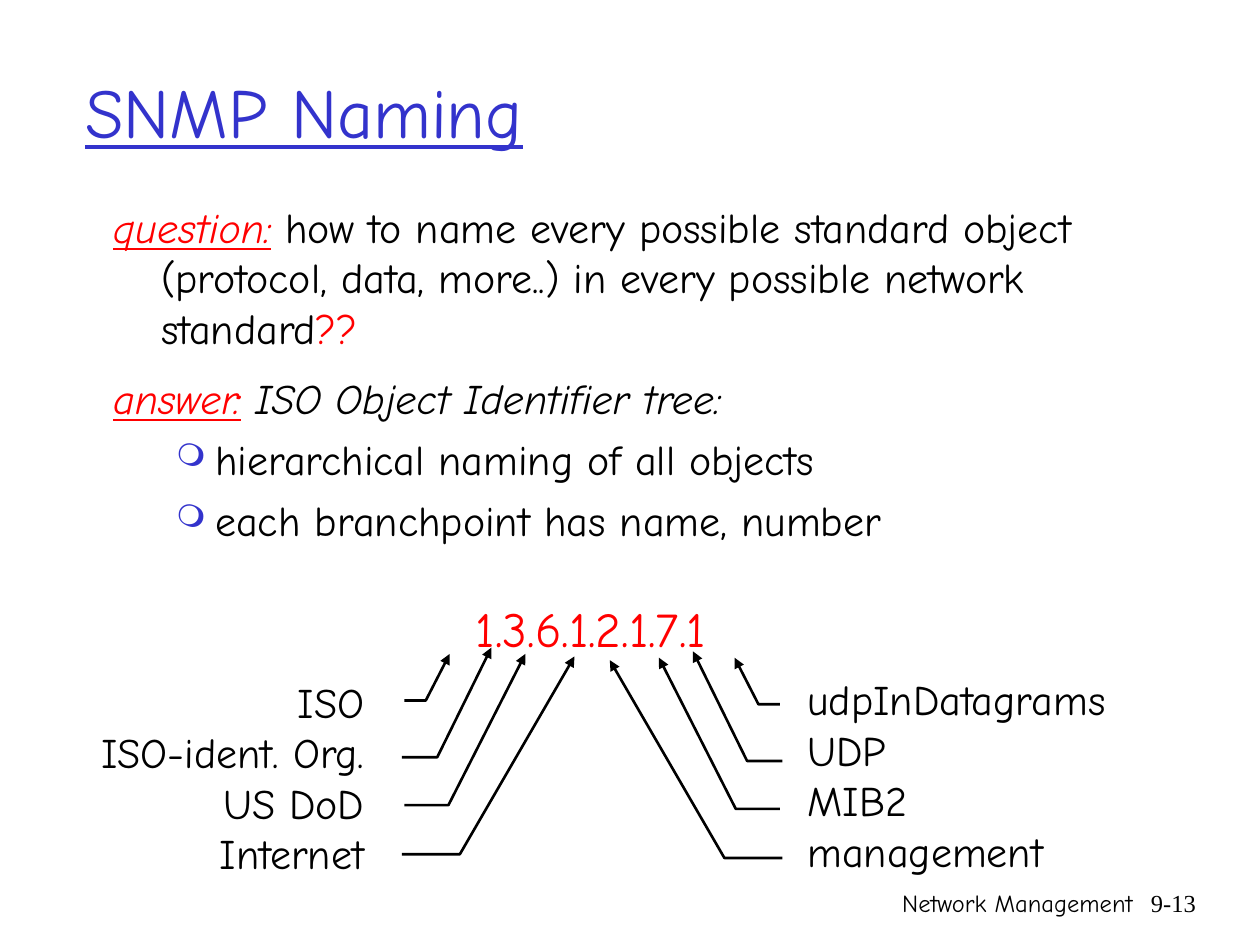
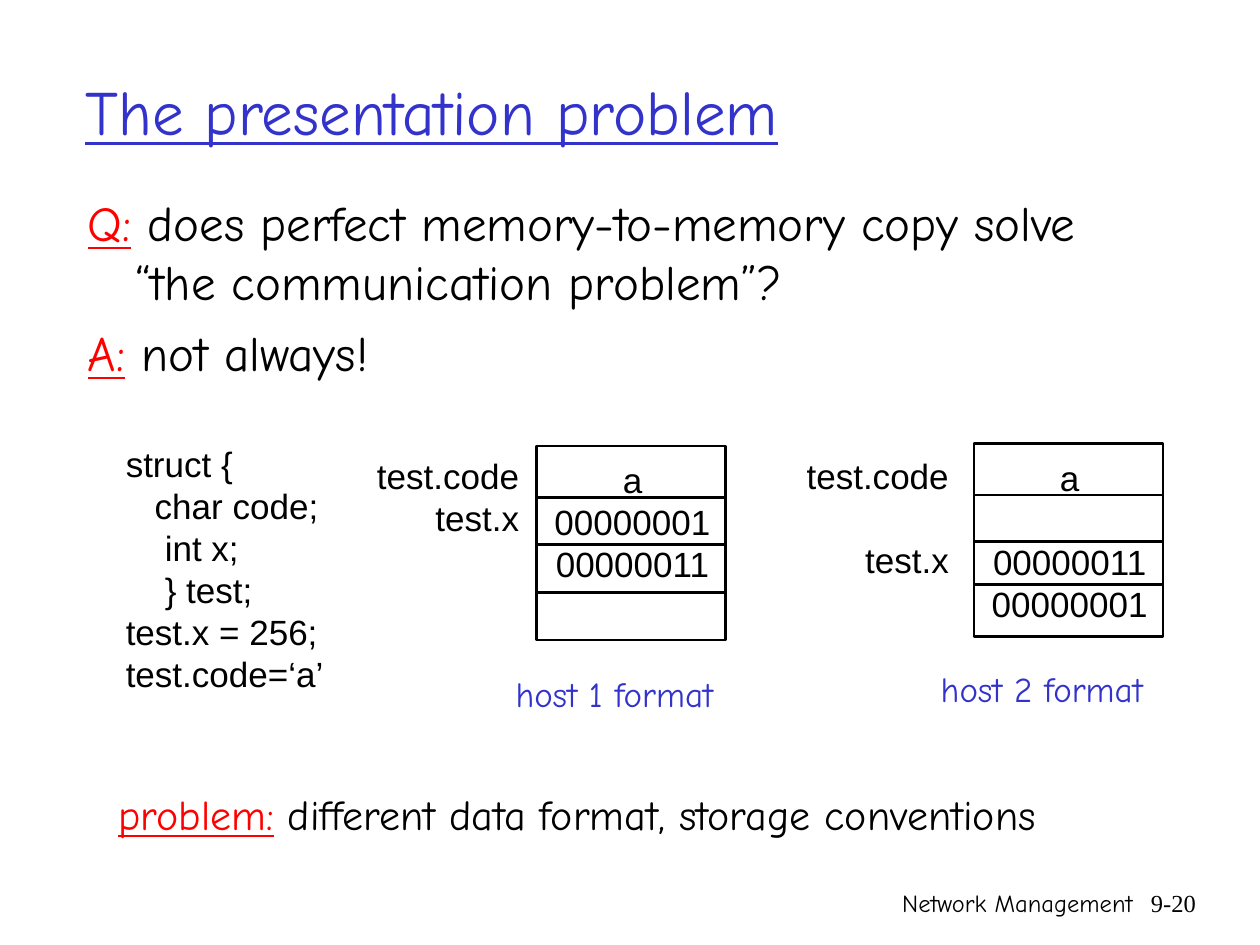
from dataclasses import dataclass

from lxml import etree
from pptx import Presentation
from pptx.dml.color import RGBColor
from pptx.enum import shapes, text
from pptx.oxml.ns import qn
from pptx.util import Inches, Pt

LEFT, CENTER, RIGHT = text.PP_ALIGN.LEFT, text.PP_ALIGN.CENTER, text.PP_ALIGN.RIGHT


@dataclass(frozen=True)
class Theme:
    ink: str = "000000"
    paper: str = "FFFFFF"
    blue: str = "3333CC"
    red: str = "FF0000"
    casual: str = "Comic Neue"
    plain: str = "Arial"
    serif: str = "Times New Roman"
    title: int = 40
    long_title: int = 36
    large: int = 28
    body: int = 24
    small: int = 20
    footer: int = 14
    line: float = 1.5


THEME = Theme()


@dataclass(frozen=True)
class Run:
    words: str
    color: str | None = None
    italic: bool = False
    underline: bool = False


@dataclass(frozen=True)
class Para:
    """A paragraph; margin and indent are inches, before is points."""
    runs: tuple[Run, ...]
    before: float = 0
    margin: float = 0
    indent: float = 0
    bullet: str = ""


@dataclass(frozen=True)
class Arrow:
    """A level start, a bend and a tip."""
    start: float
    bend: float
    level: float
    tip: tuple[float, float]


@dataclass(frozen=True)
class Host:
    left: float
    top: float
    height: float
    dividers: tuple[float, ...]
    values: tuple[str | Para, ...]
    label_left: float
    labels: tuple[str | Para, ...]
    caption: str
    caption_at: tuple[float, float, float, float]


def line_of(words: str, **layout) -> Para:
    return Para((Run(words),), **layout)


def hanging(*runs: Run, before: float = 7) -> Para:
    return Para(runs, before, margin=0.38, indent=-0.38)


def key(words: str, italic: bool = False) -> Run:
    return Run(words, THEME.red, italic, underline=True)


def add_bullet(properties, mark: str) -> None:
    color = etree.SubElement(properties, qn("a:buClr"))
    etree.SubElement(color, qn("a:srgbClr"), val=THEME.blue)
    etree.SubElement(properties, qn("a:buSzPct"), val="75000")
    etree.SubElement(properties, qn("a:buChar"), char=mark)


def add_text(slide, at, *paras: str | Para, size: float = THEME.body,
             font: str = THEME.casual, color: str = THEME.ink, align=LEFT,
             wrap: bool = True, anchor=text.MSO_ANCHOR.TOP, underline: bool = False) -> None:
    frame = slide.shapes.add_textbox(*map(Inches, at)).text_frame
    frame.auto_size = text.MSO_AUTO_SIZE.NONE if wrap else text.MSO_AUTO_SIZE.SHAPE_TO_FIT_TEXT
    frame.word_wrap = wrap
    frame.vertical_anchor = anchor
    for number, item in enumerate(paras):
        para = line_of(item) if isinstance(item, str) else item
        paragraph = frame.add_paragraph() if number else frame.paragraphs[0]
        paragraph.alignment = align
        paragraph.space_before = Pt(para.before)
        properties = paragraph._p.get_or_add_pPr()
        properties.set("marL", str(Inches(para.margin)))
        properties.set("indent", str(Inches(para.indent)))
        if para.bullet:
            add_bullet(properties, para.bullet)
        for part in para.runs:
            run = paragraph.add_run()
            run.text = part.words
            run.font.name, run.font.size = font, Pt(size)
            run.font.italic = part.italic
            run.font.underline = underline or part.underline
            run.font.color.rgb = RGBColor.from_string(part.color or color)


def set_line(shape) -> None:
    shape.line.color.rgb = RGBColor.from_string(THEME.ink)
    shape.line.width = Pt(THEME.line)


def add_arrow(slide, points: list[tuple[float, float]]) -> None:
    start, *rest = [(Inches(x), Inches(y)) for x, y in points]
    builder = slide.shapes.build_freeform(*start)
    builder.add_line_segments(rest, close=False)
    arrow = builder.convert_to_shape()
    arrow.shadow.inherit = False
    arrow.fill.background()
    set_line(arrow)
    etree.SubElement(arrow.line._get_or_add_ln(), qn("a:tailEnd"), type="triangle")


def add_divider(slide, left: float, right: float, y: float) -> None:
    divider = slide.shapes.add_connector(
        shapes.MSO_CONNECTOR.STRAIGHT, *map(Inches, (left, y, right, y)))
    set_line(divider)
    etree.SubElement(divider._element.spPr, qn("a:effectLst"))


def add_slide(deck, title: str, number: str, size: int):
    """Start a slide with the shared title and footer."""
    slide = deck.slides.add_slide(deck.slide_layouts[6])
    add_text(slide, (5.92, 7, 3.17, 0.5), "Network Management", size=THEME.footer, align=RIGHT)
    add_text(slide, (8.94, 7, 0.65, 0.5), number, size=THEME.footer,
             font=THEME.serif, align=RIGHT)
    add_text(slide, (0.58, 0.25, 8.5, 1.25), title, size=size, color=THEME.blue,
             anchor=text.MSO_ANCHOR.MIDDLE, underline=True)
    return slide


def build_naming(deck) -> None:
    slide = add_slide(deck, "SNMP Naming", "9-13", THEME.title)
    branch = dict(before=6, margin=0.81, indent=-0.31, bullet="❍")
    add_text(
        slide, (0.8, 1.55, 8.78, 3.04),
        hanging(key("question:", italic=True),
                Run(" how to name every possible standard object (protocol, data, more..) "
                    "in every possible network standard"),
                Run("??", THEME.red), before=6),
        hanging(key("answer:", italic=True),
                Run(" ISO Object Identifier tree:", italic=True), before=11.5),
        line_of("hierarchical naming of all objects", **branch),
        line_of("each branchpoint has name, number", **branch))
    add_text(slide, (3.44, 4.7, 2.5, 0.57), "1.3.6.1.2.1.7.1", size=THEME.large,
             color=THEME.red, align=CENTER)
    add_text(slide, (0.69, 5.32, 2.3, 1.7), "ISO", "ISO-ident. Org.", "US DoD", "Internet",
             align=RIGHT, wrap=False)
    add_text(slide, (6.31, 5.3, 2.58, 1.7), "udpInDatagrams", "UDP", "MIB2", "management",
             wrap=False)

    arrows = (
        Arrow(3.21, 3.38, 5.56, (3.57, 5.19)),
        Arrow(3.19, 3.47, 6.01, (3.9, 5.14)),
        Arrow(3.21, 3.56, 6.39, (4.17, 5.19)),
        Arrow(3.19, 3.65, 6.78, (4.56, 5.21)),
    )
    mirror_sum, mirror_drop = 9.4, 0.03
    for arrow in arrows:
        points = [(arrow.start, arrow.level), (arrow.bend, arrow.level), arrow.tip]
        add_arrow(slide, points)
        add_arrow(slide, [(mirror_sum - x, y + mirror_drop) for x, y in points])


def add_host(slide, host: Host) -> None:
    """Draw one host's memory cells with labels and caption."""
    width = 1.5
    memory = slide.shapes.add_shape(
        shapes.MSO_SHAPE.RECTANGLE,
        *map(Inches, (host.left, host.top, width, host.height)))
    memory.shadow.inherit = False
    memory.fill.solid()
    memory.fill.fore_color.rgb = RGBColor.from_string(THEME.paper)
    set_line(memory)
    code = dict(size=THEME.small, font=THEME.plain, wrap=False)
    add_text(slide, (host.left + 0.04, host.top + 0.05, 1.44, 1.1), *host.values,
             align=CENTER, **code)
    for offset in host.dividers:
        add_divider(slide, host.left, host.left + width, host.top + offset)
    add_text(slide, (host.label_left, 3.56, 1.33, 0.77), *host.labels, align=RIGHT, **code)
    add_text(slide, host.caption_at, host.caption, size=THEME.small, color=THEME.blue,
             align=RIGHT, wrap=False)


def build_presentation_problem(deck) -> None:
    slide = add_slide(deck, "The presentation problem", "9-20", THEME.long_title)
    add_text(
        slide, (0.6, 1.48, 8.5, 1.68),
        hanging(key("Q:"), Run(" does perfect memory-to-memory copy solve "
                               "“the communication problem”?")),
        hanging(key("A:"), Run(" not always!")), size=THEME.large)
    add_text(slide, (0.84, 6.21, 8.5, 0.62),
             hanging(key("problem:"), Run(" different data format, storage conventions"),
                     before=6))
    add_text(slide, (0.9, 3.46, 1.77, 2.1), "struct {",
             line_of("char code;", margin=0.23), line_of("int x;", margin=0.31),
             line_of("} test;", margin=0.31), "test.x = 256;", "test.code=‘a’",
             size=THEME.small, font=THEME.plain, wrap=False)

    skipped_row = 24
    hosts = (
        Host(4.26, 3.54, 1.54, (0.41, 0.78, 1.16), ("a", "00000001", "00000011"),
             2.89, ("test.code", "test.x"),
             "host 1 format", (3.99, 5.29, 1.77, 0.44)),
        Host(7.73, 3.52, 1.53, (0.41, 0.78, 1.12),
             ("a", line_of("00000011", before=skipped_row), "00000001"),
             6.3, ("test.code", line_of("test.x", before=skipped_row)),
             "host 2 format", (7.36, 5.25, 1.81, 0.44)),
    )
    for host in hosts:
        add_host(slide, host)


def main() -> None:
    deck = Presentation()
    deck.slide_width, deck.slide_height = Inches(10), Inches(7.5)
    build_naming(deck)
    build_presentation_problem(deck)
    deck.save("out.pptx")


if __name__ == "__main__":
    main()
